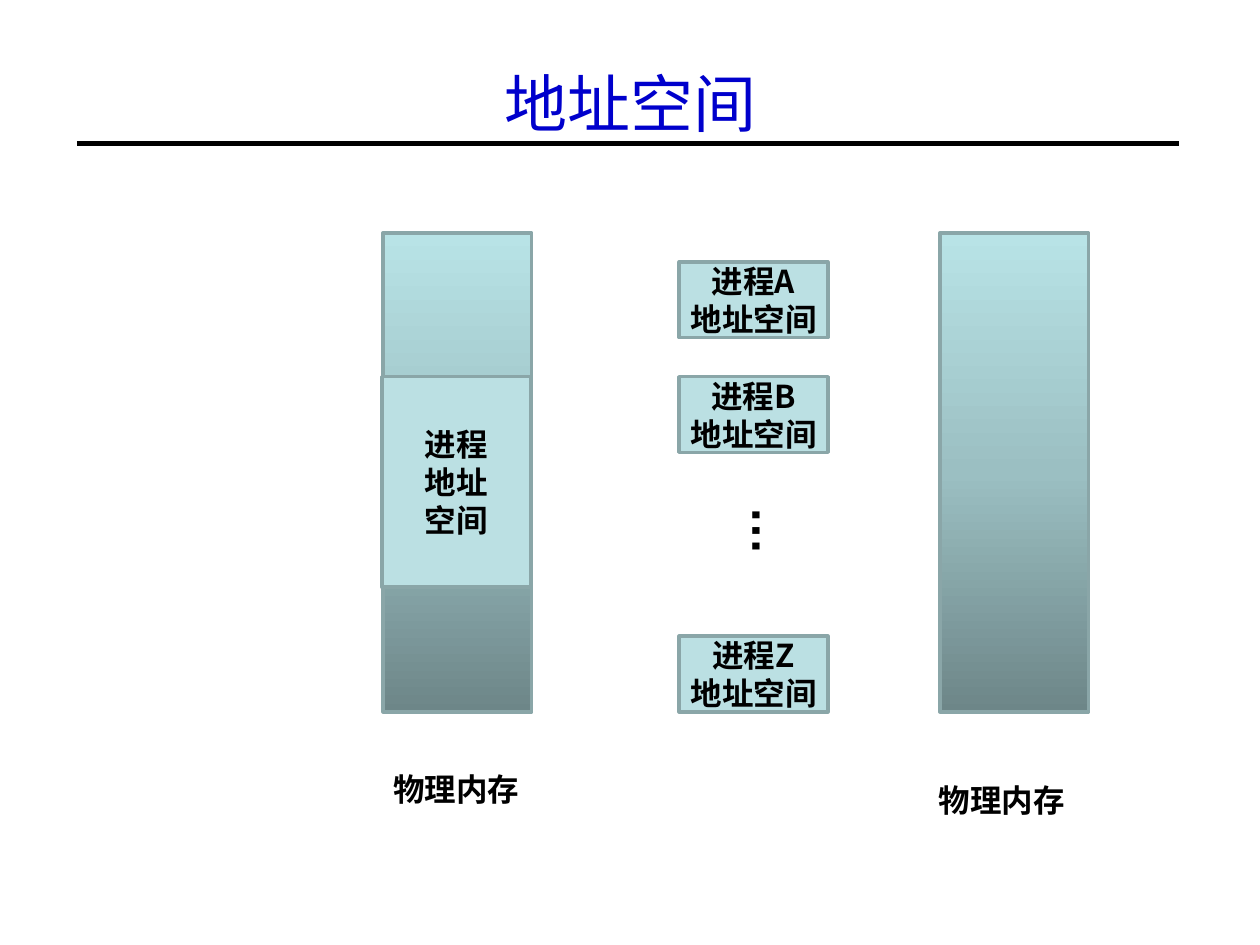
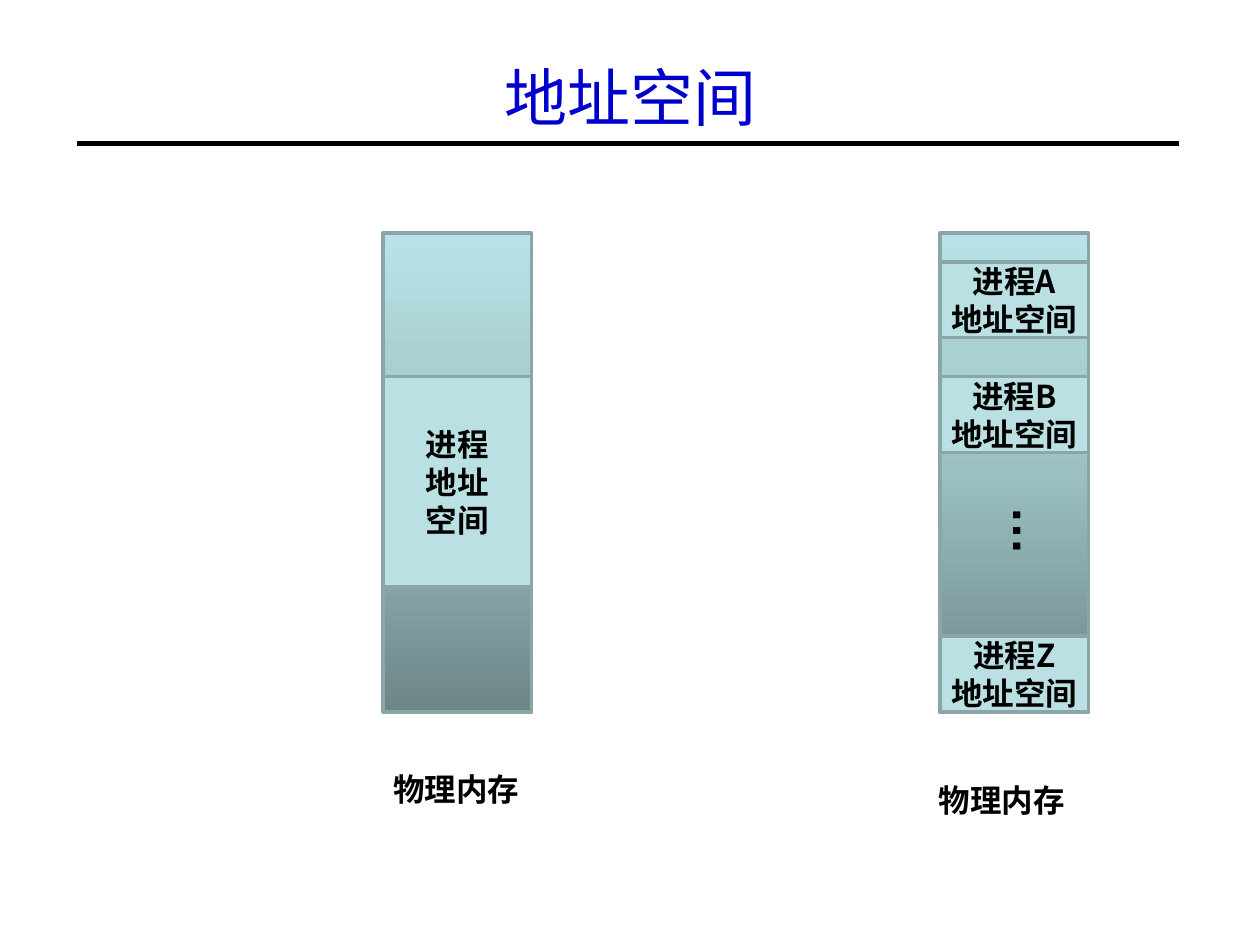
from copy import deepcopy

from lxml import etree
from pptx import Presentation
from pptx import util as u
from pptx.dml.color import RGBColor
from pptx.enum import shapes, text
from pptx.oxml.ns import qn

COLORS = {
    "ink": "000000",
    "title": "0000CC",
    "border": "8AA6A8",
    "process": "BBE0E3",
}
MEMORY_GRADIENT = [(0, "6D8688"), (0.5, "9BBFC2"), (1, "B8E3E6")]
CJK_FONT = "Noto Sans CJK SC"

SINGLE_LEFT, SHARED_LEFT = 3.04, 7.46
COLUMN_WIDTH, MEMORY_TOP, MEMORY_HEIGHT = 1.18, 1.85, 3.8
PROCESS_TOPS = {"A": 2.08, "B": 2.99, "Z": 5.05}


def rgb(name):
    return RGBColor.from_string(COLORS.get(name, name))


def write(frame, content, size=18, font=CJK_FONT, color="ink", bold=True,
          align=text.PP_ALIGN.CENTER):
    for index, line in enumerate(content.split("\n")):
        para = frame.paragraphs[0] if index == 0 else frame.add_paragraph()
        para.alignment = align
        span = para.add_run()
        span.text = line
        span.font.size = u.Pt(size)
        span.font.name = font
        span.font.bold = bold
        span.font.color.rgb = rgb(color)
        east_asian = etree.SubElement(span.font._element, qn("a:ea"))
        east_asian.set("typeface", CJK_FONT)


class MemoryDeck:
    def __init__(self):
        self.deck = Presentation()
        self.deck.slide_width = u.Inches(10)
        self.deck.slide_height = u.Inches(7.5)
        self.layout = self.deck.slide_layouts[5]
        self.page = None

    def new_page(self, title, top):
        first = self.page is None
        self.page = self.deck.slides.add_slide(self.layout)
        if first:
            self.add_shared_rule()
        heading = self.page.shapes.title
        heading.left, heading.top = u.Inches(0.5), u.Inches(top)
        heading.width, heading.height = u.Inches(9), u.Inches(1.25)
        heading.text_frame.vertical_anchor = text.MSO_ANCHOR.MIDDLE
        write(heading.text_frame, title, size=36, font="Times New Roman",
              color="title", bold=False)

    def add_shared_rule(self):
        rule = self.page.shapes.add_connector(
            shapes.MSO_CONNECTOR.STRAIGHT,
            u.Inches(0.61), u.Inches(1.14), u.Inches(9.36), u.Inches(1.14))
        rule.line.color.rgb = rgb("ink")
        rule.line.width = u.Pt(3)
        etree.SubElement(rule.element.spPr, qn("a:effectLst"))
        self.layout.shapes.element.append(rule.element)

    def block(self, left, top, height):
        box = self.page.shapes.add_shape(
            shapes.MSO_SHAPE.FLOWCHART_PROCESS, u.Inches(left), u.Inches(top),
            u.Inches(COLUMN_WIDTH), u.Inches(height))
        box.shadow.inherit = False
        box.line.color.rgb = rgb("border")
        box.line.width = u.Pt(2)
        return box

    def memory(self, left):
        box = self.block(left, MEMORY_TOP, MEMORY_HEIGHT)
        box.fill.gradient()
        box.fill.gradient_angle = 90
        stop_list = box.element.spPr.find(".//" + qn("a:gsLst"))
        stop_list.append(deepcopy(stop_list[-1]))
        for stop, (position, color) in zip(box.fill.gradient_stops, MEMORY_GRADIENT):
            stop.position = position
            stop.color.rgb = rgb(color)

    def process(self, content, left, top, height, side_inset=0.1):
        box = self.block(left, top, height)
        box.fill.solid()
        box.fill.fore_color.rgb = rgb("process")
        frame = box.text_frame
        frame.margin_left = frame.margin_right = u.Inches(side_inset)
        frame.vertical_anchor = text.MSO_ANCHOR.MIDDLE
        write(frame, content)

    def label(self, content, left, top, width=1.38, height=0.4, vertical=False, **style):
        box = self.page.shapes.add_textbox(
            u.Inches(left), u.Inches(top), u.Inches(width), u.Inches(height))
        frame = box.text_frame
        frame.word_wrap = True
        frame.auto_size = text.MSO_AUTO_SIZE.SHAPE_TO_FIT_TEXT
        if vertical:
            frame._txBody.bodyPr.set("vert", "eaVert")
        write(frame, content, **style)

    def address_space_page(self, title_top, single_left, processes_left):
        self.new_page("地址空间", title_top)
        self.memory(SINGLE_LEFT)
        self.process("进程\n地址\n空间", single_left, 2.99, 1.67)
        self.memory(SHARED_LEFT)
        for name, top in PROCESS_TOPS.items():
            self.process(f"进程{name}\n地址空间", processes_left, top, 0.6, side_inset=0)
        self.label("…", processes_left + 0.35, 3.92, 0.67, 0.57, vertical=True,
                   size=28, font="Arial", align=text.PP_ALIGN.LEFT)
        self.label("物理内存", 2.93, 6.06)
        self.label("物理内存", 7.26, 6.15)


def main():
    memory_deck = MemoryDeck()
    memory_deck.address_space_page(0.19, single_left=3.03, processes_left=5.39)
    memory_deck.address_space_page(0.14, single_left=SINGLE_LEFT, processes_left=SHARED_LEFT)
    memory_deck.deck.save("out.pptx")


if __name__ == "__main__":
    main()
